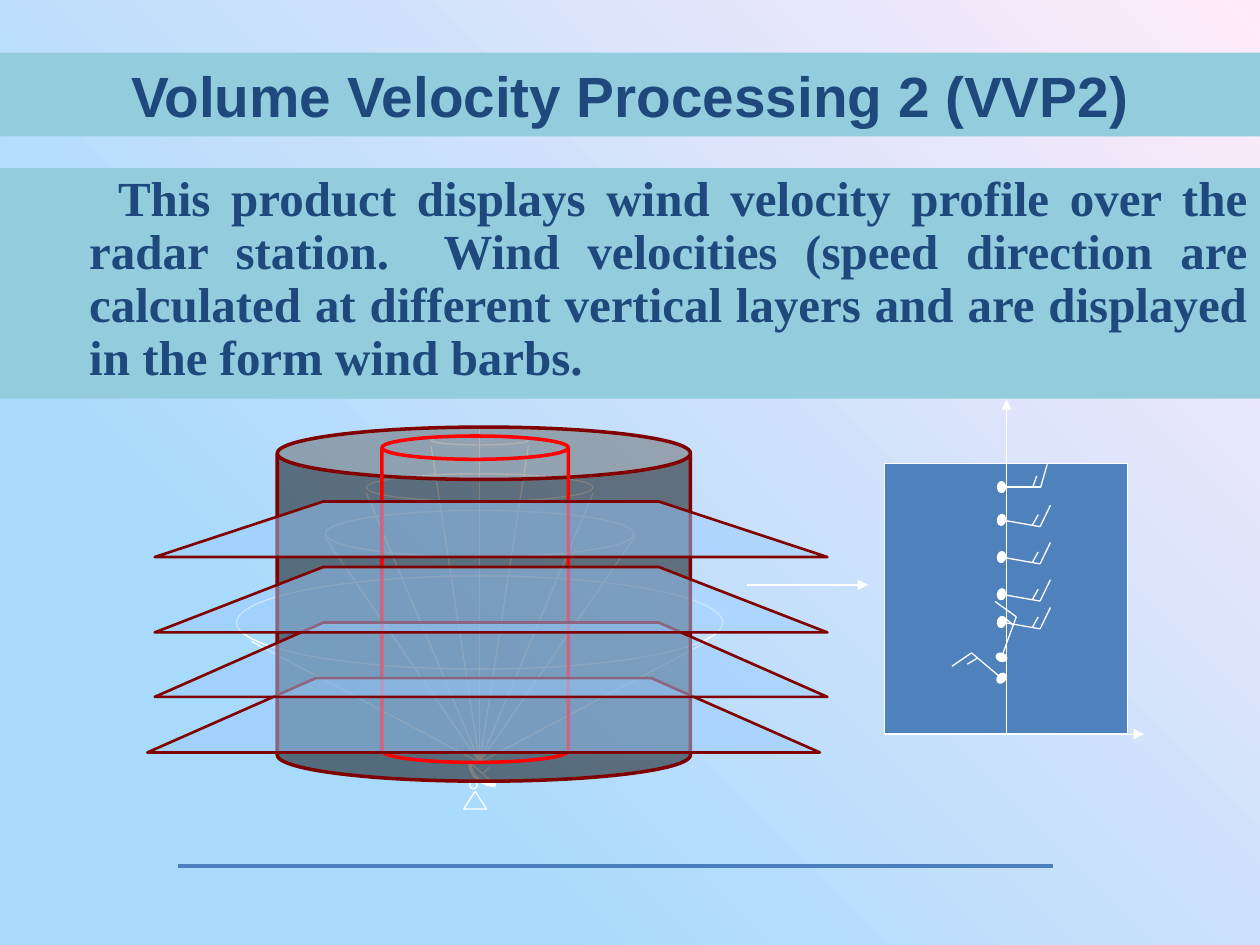
from dataclasses import dataclass
from math import cos, radians, sin
from typing import Any

from lxml.etree import SubElement
from pptx import Presentation
from pptx.dml.color import RGBColor
from pptx.enum.shapes import MSO_CONNECTOR, MSO_SHAPE as Preset
from pptx.enum.text import MSO_ANCHOR as Anchor, PP_ALIGN as Align
from pptx.oxml.ns import qn
from pptx.util import Cm, Pt


@dataclass(frozen=True)
class Theme:
    sky: str = "A8DAFC"
    blush: str = "FFEBFA"
    band: str = "93CDDD"
    ink: str = "1F497D"
    rule: str = "4B7EBC"
    white: str = "FFFFFF"
    plot: str = "4F81BD"
    black: str = "000000"
    maroon: str = "800000"
    red: str = "FF0000"
    layer: str = "99CCFF"
    title_font: str = "Arial"
    body_font: str = "Times New Roman"
    title_size: float = 32.4
    body_size: float = 28
    thin: float = 0.75
    medium: float = 1.5
    thick: float = 2


THEME = Theme()


def paint(shape, fill=None, line=None, weight=THEME.thin, alpha=None):
    shape.shadow.inherit = False
    if fill:
        shape.fill.solid()
        shape.fill.fore_color.rgb = RGBColor.from_string(fill)
        if alpha:
            color = shape.element.spPr.find(qn("a:solidFill"))[0]
            SubElement(color, qn("a:alpha"), val=str(alpha * 1000))
    else:
        shape.fill.background()
    if line:
        shape.line.color.rgb = RGBColor.from_string(line)
        shape.line.width = Pt(weight)
    else:
        shape.line.fill.background()
    return shape


@dataclass
class Region:
    shapes: Any
    left: float
    top: float

    def preset(self, kind, x, y, width, height, **look):
        shape = self.shapes.add_shape(
            kind, Cm(self.left + x), Cm(self.top + y), Cm(width), Cm(height))
        return paint(shape, **look)

    def line(self, start, end, color=THEME.white, weight=THEME.thin, arrow=False):
        ends = [Cm(origin + offset) for point in (start, end)
                for origin, offset in zip((self.left, self.top), point)]
        connector = self.shapes.add_connector(MSO_CONNECTOR.STRAIGHT, *ends)
        connector.line.color.rgb = RGBColor.from_string(color)
        connector.line.width = Pt(weight)
        properties = connector.element.spPr
        if arrow:
            SubElement(properties.find(qn("a:ln")), qn("a:tailEnd"), type="triangle")
        SubElement(properties, qn("a:effectLst"))

    def polygon(self, points, **look):
        corners = [(Cm(self.left + x), Cm(self.top + y)) for x, y in points]
        builder = self.shapes.build_freeform(*corners[0])
        builder.add_line_segments(corners[1:], close=True)
        return paint(builder.convert_to_shape(), **look)


def paint_background(slide):
    fill = slide.background.fill
    fill.gradient()
    for stop, position, color in zip(
            fill.gradient_stops, (0.25, 1), (THEME.sky, THEME.blush)):
        stop.position = position
        stop.color.rgb = RGBColor.from_string(color)
    gradient = next(slide.element.iter(qn("a:gradFill")))
    gradient.remove(gradient.find(qn("a:lin")))
    circle = SubElement(gradient, qn("a:path"), {"path": "circle"})
    SubElement(circle, qn("a:fillToRect"), t="100000", r="100000")


def add_band(slide, top, height, words, font, size, align, anchor):
    band = Region(slide.shapes, 0, top).preset(
        Preset.RECTANGLE, 0, 0, 25.4, height, fill=THEME.band)
    frame = band.text_frame
    frame.word_wrap = True
    frame.vertical_anchor = anchor
    paragraph = frame.paragraphs[0]
    paragraph.alignment = align
    run = paragraph.add_run()
    run.text = words
    run.font.name = font
    run.font.size = Pt(size)
    run.font.bold = True
    run.font.color.rgb = RGBColor.from_string(THEME.ink)
    return paragraph


def add_description(slide, top, height):
    paragraph = add_band(
        slide, top, height,
        "This product displays wind velocity profile over the radar station.  "
        "Wind velocities (speed direction are calculated at different vertical "
        "layers and are displayed in the form wind barbs.",
        THEME.body_font, THEME.body_size, Align.JUSTIFY, Anchor.TOP)
    paragraph.line_spacing = 0.9
    indents = paragraph._p.get_or_add_pPr()
    indents.set("marL", str(Cm(1.55)))
    indents.set("indent", str(Cm(0.58)))


def add_radar_volume(slide, left, top):
    volume = Region(slide.shapes.add_group_shape().shapes, left, top)
    apex_x, apex_y = apex = (6.7, 6.76)
    rings = [(6.22, 1.68, 0.94, 3.11, 2.24), (4.57, 0.94, 0.56, 2.29, 1.32),
             (1.96, 0.18, 0.18, 0.98, 0.38), (9.8, 3, 1.88, 4.6, 4.32)]
    volume.line((apex_x, 0), apex)
    for width, ring_top, height, reach, ray_y in rings:
        volume.preset(Preset.OVAL, apex_x - width / 2, ring_top, width, height,
                      line=THEME.white)
        for side in (-1, 1):
            volume.line((apex_x + side * reach, ray_y), apex)

    volume.preset(Preset.OVAL, 6.5, 7.14, 0.15, 0.15, line=THEME.white)
    volume.preset(Preset.ISOSCELES_TRIANGLE, 6.38, 7.34, 0.46, 0.36, line=THEME.white)
    dish = volume.preset(Preset.ARC, 6.5, 6.3, 1.04, 0.92,
                         line=THEME.white, weight=THEME.thick)
    dish.adjustments[0], dish.adjustments[1] = 54, 108
    volume.line((6.5, apex_y), (7.02, 7.21))
    volume.line((6.76, 6.99), (6.89, 6.86))

    outer = volume.preset(Preset.CAN, 2.62, 0, 8.33, 7.14, fill=THEME.black, alpha=50,
                          line=THEME.maroon, weight=THEME.thick)
    outer.adjustments[0] = 0.148
    inner = volume.preset(Preset.CAN, 4.73, 0.18, 3.76, 6.58,
                          line=THEME.red, weight=THEME.thick)
    inner.adjustments[0] = 0.125

    span, inset = 13.56, 3.4
    for x, y, height in [(0, 5.06, 1.5), (0.15, 3.94, 1.5),
                         (0.15, 2.82, 1.32), (0.15, 1.5, 1.12)]:
        volume.polygon([(x, y + height), (x + inset, y),
                        (x + span - inset, y), (x + span, y + height)],
                       fill=THEME.layer, alpha=50,
                       line=THEME.maroon, weight=THEME.medium)


def add_barb(profile, x, y, angle, stretch):
    def turned(along, across):
        turn = radians(angle)
        return (x + stretch * (along * cos(turn) - across * sin(turn)),
                y + stretch * (along * sin(turn) + across * cos(turn)))

    elbow = turned(0.79, 0)
    profile.line((x, y), elbow)
    profile.line(elbow, turned(0.92, -0.46))
    profile.line(turned(0.63, 0), turned(0.71, -0.23))
    dot = profile.preset(Preset.OVAL, x - 0.08, y - 0.11, 0.16, 0.22,
                         fill=THEME.white, line=THEME.white)
    dot.rotation = angle


def add_wind_profile(slide, left, top):
    profile = Region(slide.shapes.add_group_shape().shapes, left, top)
    axis_x, base = 2.46, 6.75
    profile.preset(Preset.RECTANGLE, 0, 1.3, 4.9, base - 1.3,
                   fill=THEME.plot, line=THEME.white)
    profile.line((axis_x, base), (axis_x, 0), arrow=True)
    profile.line((0, base), (5.23, base), arrow=True)
    for y, angle, stretch in [(1.77, 0, 1), (2.43, 10, 1), (3.18, 10, 1), (3.93, 10, 1),
                              (4.49, 10, 1), (5.2, 290, 1.1), (5.62, 220, 1)]:
        add_barb(profile, axis_x - 0.1, y, angle, stretch)


def main():
    deck = Presentation()
    deck.slide_width, deck.slide_height = Cm(25.4), Cm(19.05)
    slide = deck.slides.add_slide(deck.slide_layouts[6])
    paint_background(slide)
    page = Region(slide.shapes, 0, 0)
    page.line((3.58, 17.46), (21.23, 17.46), THEME.rule, THEME.thick)
    add_band(slide, 1.06, 1.69, "Volume Velocity Processing 2 (VVP2)",
             THEME.title_font, THEME.title_size, Align.CENTER, Anchor.MIDDLE)
    add_description(slide, 3.39, 4.65)
    add_wind_profile(slide, 17.83, 8.05)
    page.line((15.06, 11.79), (17.5, 11.79), arrow=True)
    add_radar_volume(slide, 2.97, 8.61)
    deck.save("out.pptx")


if __name__ == "__main__":
    main()
